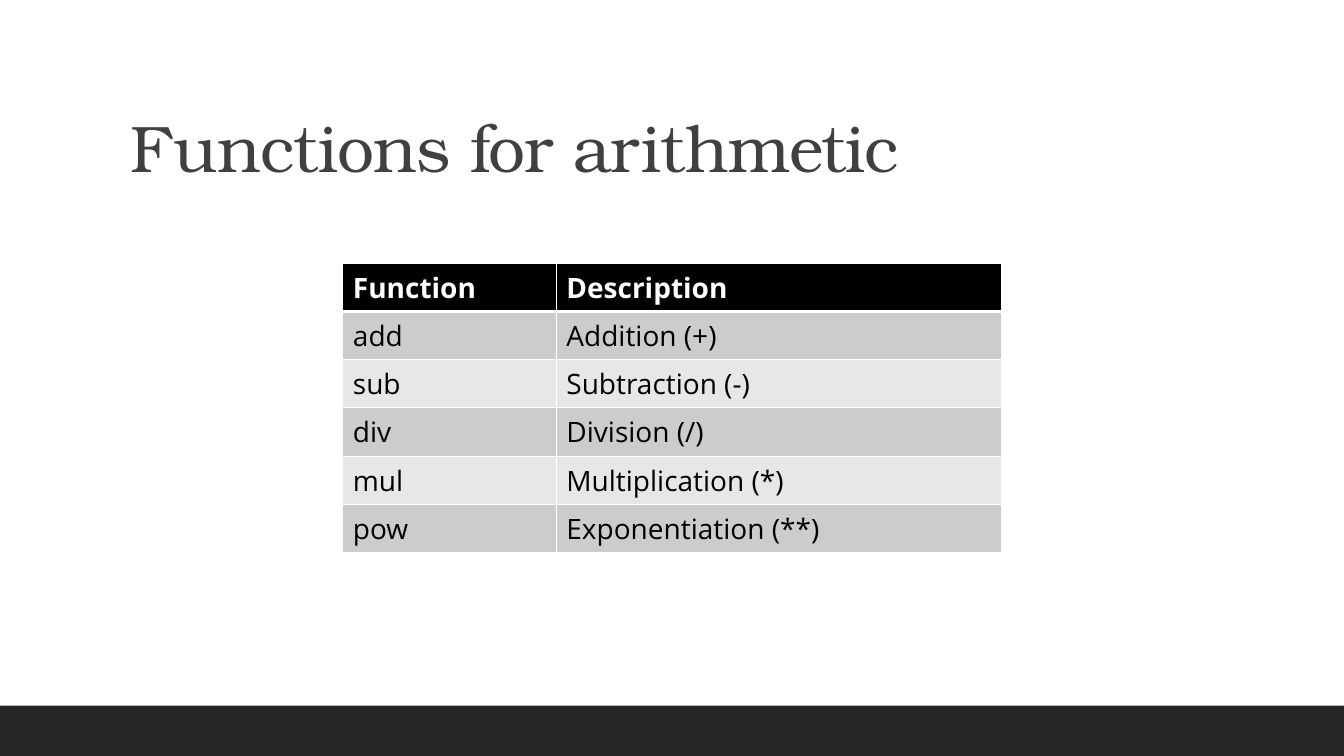
from lxml import etree
from pptx import Presentation
from pptx.dml.color import RGBColor
from pptx.enum import shapes, text
from pptx.oxml.ns import qn
from pptx.util import Cm, Pt

WIDE, HIGH = Cm(33.87), Cm(19.05)
SANS, SERIF = "Open Sans", "TeX Gyre Bonum"
ROWS = [
    ("Function", "Description"),
    ("add", "Addition (+)"),
    ("sub", "Subtraction (-)"),
    ("div", "Division (/)"),
    ("mul", "Multiplication (*)"),
    ("pow", "Exponentiation (**)"),
]


def paint(fill, color):
    fill.solid()
    fill.fore_color.rgb = RGBColor.from_string(color)


def add_run(para, words, size, face, color, bold=False):
    run = para.add_run()
    run.text = words
    font = run.font
    font.size, font.name, font.bold = Pt(size), face, bold
    paint(font.fill, color)
    return run


def add_band(slide):
    depth = Cm(1.27)
    band = slide.shapes.add_shape(
        shapes.MSO_SHAPE.RECTANGLE, 0, HIGH - depth, WIDE, depth)
    band.shadow.inherit = False
    band.line.fill.background()
    paint(band.fill, "262626")


def add_title(slide, words):
    box = slide.shapes.add_textbox(Cm(3.05), Cm(0.79), Cm(27.94), Cm(4.04))
    frame = box.text_frame
    frame.word_wrap = True
    frame.vertical_anchor = text.MSO_ANCHOR.BOTTOM
    para = frame.paragraphs[0]
    para.line_spacing = 0.9
    run = add_run(para, words, 47, SERIF, "404040")
    run.font._element.set("spc", "-50")


def add_edge(cell, side, width):
    """Draw a white border on one side (L, R, T or B) of a cell."""
    props = cell._tc.get_or_add_tcPr()
    line = etree.SubElement(props, qn(f"a:ln{side}"), w=str(Pt(width)))
    fill = etree.SubElement(line, qn("a:solidFill"))
    etree.SubElement(fill, qn("a:srgbClr"), val="FFFFFF")


def fill_cell(cell, words, row):
    head = row == 0
    for side in "LRTB":
        thick = (head and side == "B") or (row == 1 and side == "T")
        add_edge(cell, side, 3 if thick else 1)
    shade = "000000" if head else ("E7E7E7", "CCCCCC")[row % 2]
    paint(cell.fill, shade)
    ink = "FFFFFF" if head else "000000"
    add_run(cell.text_frame.paragraphs[0], words, 20, SANS, ink, head)


def add_grid(slide, rows):
    widths, tall = (Cm(5.38), Cm(11.23)), Cm(1.21)
    grid = slide.shapes.add_table(
        len(rows), len(widths), Cm(8.64), Cm(6.63),
        sum(widths), tall * len(rows)).table
    for col, width in zip(grid.columns, widths):
        col.width = width
    for i, row in enumerate(rows):
        grid.rows[i].height = tall
        for j, words in enumerate(row):
            fill_cell(grid.cell(i, j), words, i)


def main():
    deck = Presentation()
    deck.slide_width, deck.slide_height = WIDE, HIGH
    slide = deck.slides.add_slide(deck.slide_layouts[6])
    add_band(slide)
    add_grid(slide, ROWS)
    add_title(slide, "Functions for arithmetic")
    deck.save("out.pptx")


if __name__ == "__main__":
    main()
